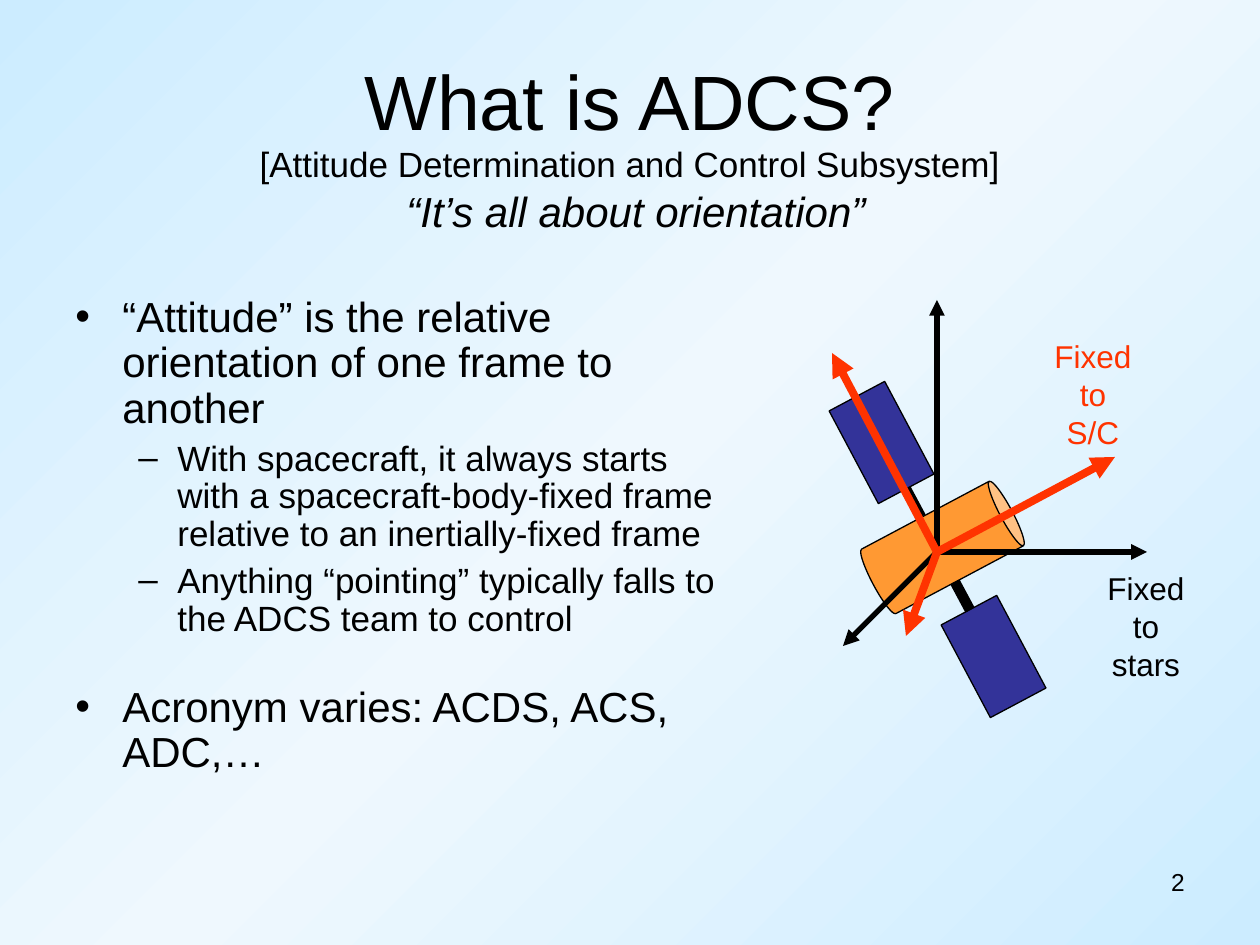
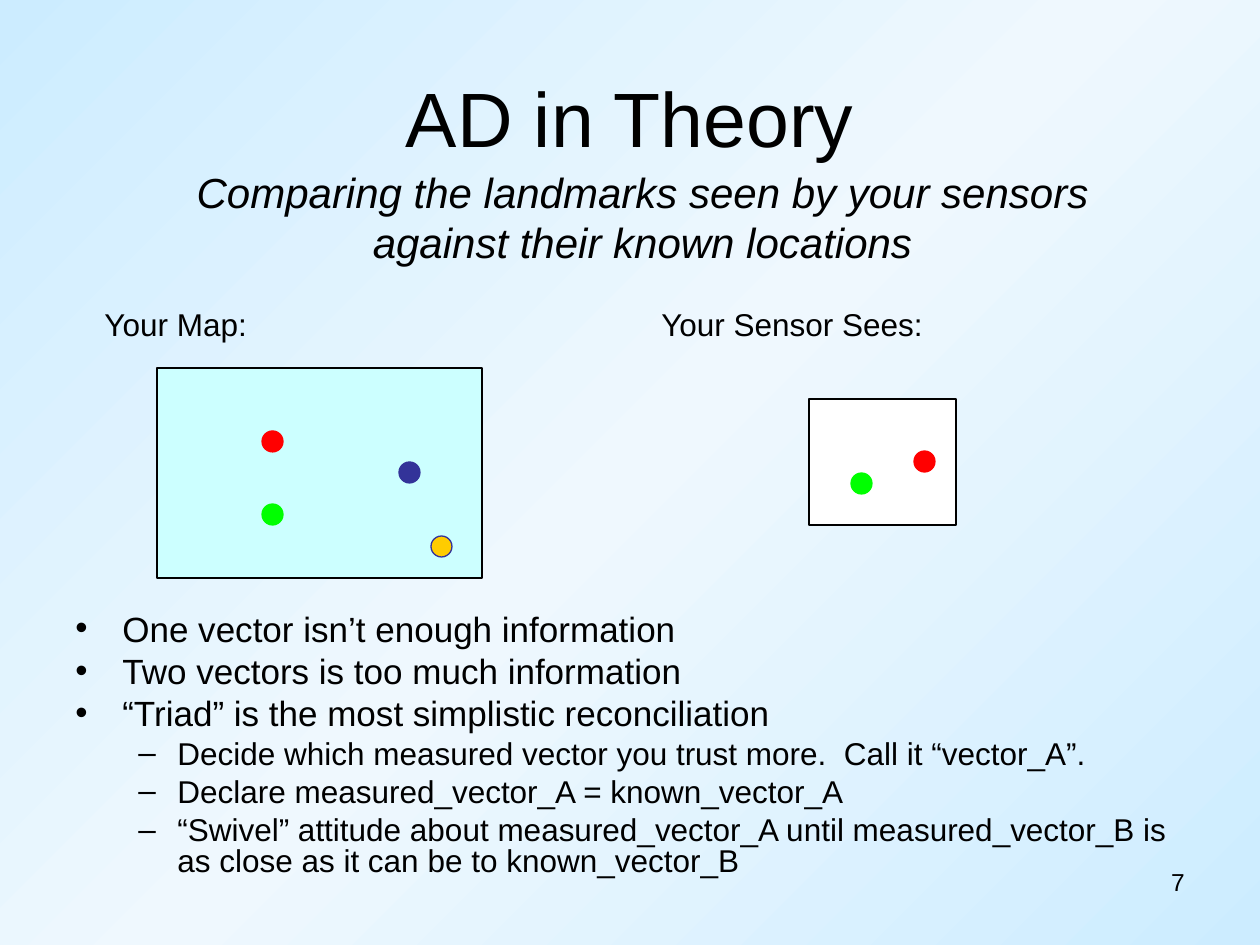
from copy import deepcopy

from lxml import etree
from pptx import Presentation
from pptx import util as u
from pptx.dml.color import RGBColor
from pptx.enum import shapes, text
from pptx.oxml.ns import qn

PX = 914400 / 126
FONT = "Arial"
BLACK, NAVY, RED, GREEN = "000000", "333399", "FF0000", "00FF00"
FLAME, ORANGE, GOLD, AQUA, WHITE = "FF3300", "FF9933", "FFCC00", "CCFFFF", "FFFFFF"
SKY = [(0, "CCECFF"), (0.5, "EFF8FE"), (1, "CCECFF")]
LEFT, MID, RIGHT = text.PP_ALIGN.LEFT, text.PP_ALIGN.CENTER, text.PP_ALIGN.RIGHT
SHAPE = shapes.MSO_SHAPE
MARKS = [("•", 47, 47), ("–", 102, 39)]  # per level: sign, indent, hang
DOT = 21

# Bullets: level, size, space before, text
ADCS = [
    (0, 24, 6, "“Attitude” is the relative orientation of one frame to another"),
    (1, 20, 5, "With spacecraft, it always starts with a spacecraft-body-fixed "
               "frame relative to an inertially-fixed frame"),
    (1, 20, 5, "Anything “pointing” typically falls to the ADCS team to control"),
    (0, 24, 27, "Acronym varies: ACDS, ACS, ADC,…"),
]
THEORY = [
    (0, 20, 5, "One vector isn’t enough information"),
    (0, 20, 5, "Two vectors is too much information"),
    (0, 20, 5, "“Triad” is the most simplistic reconciliation"),
    (1, 18, 4.5, "Decide which measured vector you trust more.  Call it “vector_A”."),
    (1, 18, 4.5, "Declare measured_vector_A = known_vector_A"),
    (1, 18, 4.5, "“Swivel” attitude about measured_vector_A until "
                 "measured_vector_B is as close as it can be to known_vector_B"),
]

# Spacecraft: each panel with its strut and the panel side it meets
CAN = (906, 469, 73, 157)
TILT = 62
PANELS = [
    ((829, 411, 105, 63), 3, (906, 489), (921, 517)),
    ((941, 625, 105, 63), 1, (970, 610), (955, 582)),
]
HUB = (937, 552)
FRAMES = [
    (BLACK, 3, [(937, 300), (1147, 552), (843, 646)],
     (1095, 563, 102, 126), ["Fixed", "to", "stars"]),
    (FLAME, 4.5, [(1115, 457), (832, 353), (906, 636)],
     (1042, 331, 102, 126), ["Fixed", "to", "S/C"]),
]

# Views: label, its box, frame, fill, dots (left, top, fill, line)
VIEWS = [
    ("Your Sensor Sees:", (649, 299, 290, 50), (809, 399, 147, 126), WHITE,
     [(914, 451, RED, RED), (851, 473, GREEN, GREEN)]),
    ("Your Map:", (92, 299, 170, 50), (157, 368, 325, 210), AQUA,
     [(262, 431, RED, RED), (262, 504, GREEN, GREEN),
      (399, 462, NAVY, NAVY), (431, 536, GOLD, NAVY)]),
]


def px(*nums):
    return [u.Emu(round(n * PX)) for n in nums]


def rgb(code):
    return RGBColor.from_string(code)


def style(par, size, color=BLACK, align=LEFT, slant=False):
    par.alignment = align
    font = par.font
    font.name, font.size, font.italic = FONT, u.Pt(size), slant
    font.color.rgb = rgb(color)


def write(slide, box, lines, size, wrap=True, anchor=text.MSO_ANCHOR.TOP, **look):
    frame = slide.shapes.add_textbox(*px(*box)).text_frame
    frame.word_wrap, frame.vertical_anchor = wrap, anchor
    for i, line in enumerate(lines):
        par = frame.add_paragraph() if i else frame.paragraphs[0]
        par.text = line
        style(par, size, **look)
    return frame


def bullets(slide, box, items, spacing):
    frame = write(slide, box, [item[3] for item in items], 20)
    for par, (level, size, gap, _) in zip(frame.paragraphs, items):
        sign, indent, hang = MARKS[level]
        style(par, size)
        par.level, par.line_spacing, par.space_before = level, spacing, u.Pt(gap)
        props = par._p.get_or_add_pPr()
        indent, hang = px(indent, hang)
        props.set("marL", str(indent))
        props.set("indent", str(-hang))
        etree.SubElement(props, qn("a:buFont"), typeface=FONT)
        etree.SubElement(props, qn("a:buChar"), char=sign)


def draw(slide, kind, box, fill, line=BLACK, turn=0):
    shape = slide.shapes.add_shape(kind, *px(*box))
    shape.shadow.inherit = False
    shape.fill.solid()
    shape.fill.fore_color.rgb = rgb(fill)
    shape.line.color.rgb = rgb(line)
    shape.line.width = u.Pt(0.75)
    shape.rotation = turn
    return shape


def link(slide, start, end, color, width, arrow=False):
    line = slide.shapes.add_connector(shapes.MSO_CONNECTOR.STRAIGHT, *px(*start, *end))
    line.line.color.rgb = rgb(color)
    line.line.width = u.Pt(width)
    if arrow:
        etree.SubElement(line.line._get_or_add_ln(), qn("a:tailEnd"), type="triangle")
    etree.SubElement(line._element.spPr, qn("a:effectLst"))
    return line


def paint(master):
    """Give every slide the diagonal sky gradient."""
    fill = master.background.fill
    fill.gradient()
    fill.gradient_angle = 135
    stops = master.element.cSld.find(".//" + qn("a:gsLst"))
    stops.append(deepcopy(stops[0]))
    for stop, (place, color) in zip(fill.gradient_stops, SKY):
        stop.position = place
        stop.color.rgb = rgb(color)


def start(prs, title, top, number):
    """Add a slide with its title and number."""
    slide = prs.slides.add_slide(prs.slide_layouts[6])
    write(slide, (63, top, 1134, 158), [title], 44,
          anchor=text.MSO_ANCHOR.MIDDLE, align=MID)
    write(slide, (903, 861, 294, 66), [number], 14, align=RIGHT)
    return slide


def craft(slide):
    draw(slide, SHAPE.CAN, CAN, ORANGE, turn=TILT).adjustments[0] = 0.17
    for box, side, joint, end in PANELS:
        panel = draw(slide, SHAPE.RECTANGLE, box, NAVY, turn=TILT)
        strut = link(slide, joint, end, BLACK, 6)
        strut.begin_connect(panel, side)
        # Joining ignores the tilt, so put the end back on the turned side
        strut.begin_x, strut.begin_y = px(*joint)
    for color, width, tips, box, words in FRAMES:
        for tip in tips:
            link(slide, HUB, tip, color, width, arrow=True)
        write(slide, box, words, 18, wrap=False, color=color, align=MID)


def view(slide, label, spot, box, fill, dots):
    write(slide, spot, [label], 18, wrap=False)
    draw(slide, SHAPE.RECTANGLE, box, fill)
    for left, top, color, edge in dots:
        draw(slide, SHAPE.OVAL, (left, top, DOT, DOT), color, edge)


def main():
    prs = Presentation()
    prs.slide_width, prs.slide_height = px(1260, 945)
    paint(prs.slide_master)

    slide = start(prs, "What is ADCS?", 21, "2")
    bullets(slide, (63, 290, 683, 592), ADCS, 0.9)
    craft(slide)
    write(slide, (325, 179, 622, 63), ["“It’s all about orientation”"], 24,
          align=MID, slant=True)
    write(slide, (126, 136, 1008, 55),
          ["[Attitude Determination and Control Subsystem]"], 20, align=MID)

    slide = start(prs, "AD in Theory", 38, "7")
    bullets(slide, (63, 609, 1134, 284), THEORY, 0.8)
    write(slide, (184, 160, 917, 113),
          ["Comparing the landmarks seen by your sensors\nagainst their known locations"],
          24, wrap=False, align=MID, slant=True)
    for item in VIEWS:
        view(slide, *item)

    prs.save("out.pptx")


if __name__ == "__main__":
    main()
